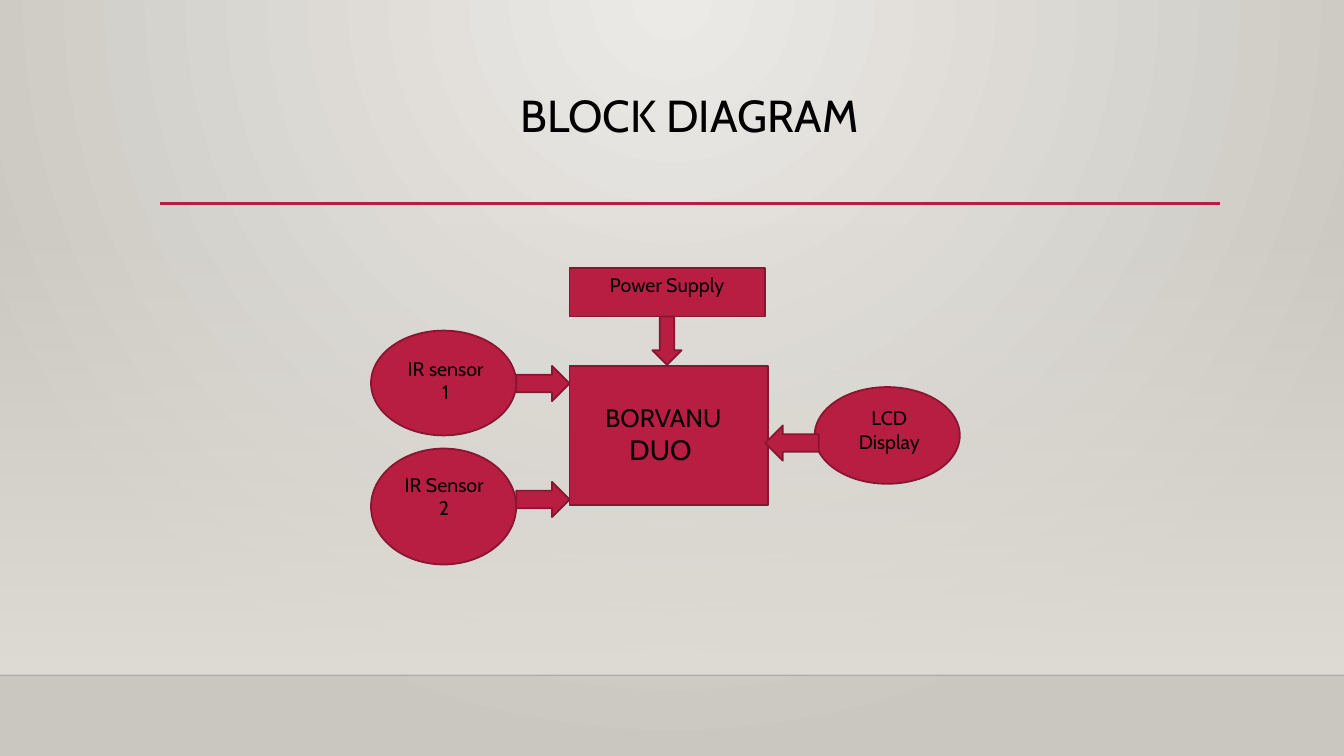
"""Build the block diagram slide of a sensor and display system."""
from lxml import etree
from pptx import Presentation
from pptx.dml.color import RGBColor
from pptx.enum.shapes import MSO_CONNECTOR, MSO_SHAPE
from pptx.enum.text import MSO_ANCHOR, MSO_AUTO_SIZE, PP_ALIGN
from pptx.oxml.ns import qn
from pptx.util import Inches, Pt

RECTANGLE = MSO_SHAPE.RECTANGLE
OVAL = MSO_SHAPE.OVAL
RIGHT_ARROW = MSO_SHAPE.RIGHT_ARROW
LEFT_ARROW = MSO_SHAPE.LEFT_ARROW
DOWN_ARROW = MSO_SHAPE.DOWN_ARROW
STRAIGHT = MSO_CONNECTOR.STRAIGHT
TOP = MSO_ANCHOR.TOP
CENTER = PP_ALIGN.CENTER
GROW = MSO_AUTO_SIZE.SHAPE_TO_FIT_TEXT
FIXED = MSO_AUTO_SIZE.NONE


def color(value):
    return RGBColor.from_string(value)


def set_alpha(color_element, percent):
    etree.SubElement(color_element, qn("a:alpha"), val=str(percent * 1000))


class Diagram:
    FONT = "Cabin"
    INK = "000000"
    CRIMSON = "B71E42"
    OUTLINE = "871631"

    def __init__(self, page):
        self.page = page

    def blend(self, fill, *values):
        fill.gradient()
        for stop, value in zip(fill.gradient_stops, values):
            stop.color.rgb = color(value)

    def backdrop(self, center, edge):
        self.blend(self.page.background.fill, center, edge)
        gradient = self.page.element.find(".//" + qn("a:gradFill"))
        gradient.remove(gradient.find(qn("a:lin")))
        circle = etree.SubElement(gradient, qn("a:path"), path="circle")
        etree.SubElement(circle, qn("a:fillToRect"),
                         l="43000", t="0", r="43000", b="100000")

    def shape(self, kind, *bounds):
        shape = self.page.shapes.add_shape(kind, *map(Inches, bounds))
        shape.shadow.inherit = False
        return shape

    def haze(self, value, *bounds):
        haze = self.shape(RECTANGLE, *bounds)
        self.blend(haze.fill, value, value)
        haze.fill.gradient_angle = 270
        set_alpha(haze.element.find(".//" + qn("a:srgbClr")), 0)
        haze.line.fill.background()

    def block(self, kind, *bounds):
        block = self.shape(kind, *bounds)
        block.fill.solid()
        block.fill.fore_color.rgb = color(self.CRIMSON)
        block.line.color.rgb = color(self.OUTLINE)
        block.line.width = Pt(1.25)

    def rule(self, left, right, top, value, width, alpha=100):
        rule = self.page.shapes.add_connector(
            STRAIGHT, *map(Inches, (left, top, right, top)))
        rule.line.color.rgb = color(value)
        rule.line.width = Pt(width)
        if alpha < 100:
            set_alpha(rule.element.find(".//" + qn("a:srgbClr")), alpha)
        etree.SubElement(rule.element.spPr, qn("a:effectLst"))

    def text(self, bounds, *spans, spacing=1.0, fit=GROW):
        box = self.page.shapes.add_textbox(*map(Inches, bounds))
        frame = box.text_frame
        para = frame.paragraphs[0]
        frame_format = {"word_wrap": True, "auto_size": fit,
                        "vertical_anchor": TOP}
        para_format = {"alignment": CENTER, "line_spacing": spacing}
        for target, settings in ((frame, frame_format), (para, para_format)):
            for name, value in settings.items():
                setattr(target, name, value)
        for words, size in spans:
            span = para.add_run()
            span.text = words
            for name, value in {"name": self.FONT, "size": Pt(size)}.items():
                setattr(span.font, name, value)
            span.font.color.rgb = color(self.INK)


def main():
    deck = Presentation()
    deck.slide_width, deck.slide_height = Inches(13.33), Inches(7.5)
    diagram = Diagram(deck.slides.add_slide(deck.slide_layouts[6]))

    diagram.backdrop("ECEAE7", "CAC7C1")
    diagram.haze("DFDBD5", 0, 2.21, 13.33, 4.49)
    diagram.rule(0, 13.33, 6.7, "000001", 1, alpha=20)
    diagram.rule(1.59, 12.1, 2.02, Diagram.CRIMSON, 2.5)
    diagram.text((1.59, 0.88, 10.5, 1.15), ("BLOCK DIAGRAM", 32),
                 spacing=0.9, fit=FIXED)

    diagram.block(RECTANGLE, 5.65, 3.63, 1.97, 1.38)
    diagram.text((5.65, 3.94, 1.86, 0.74),
                 ("BORVANU ", 18), ("DUO", 20), (" ", 18))

    sensors = (("IR Sensor 2", 4.45, 1.15, 4.78, 1.01),
               ("IR sensor 1", 3.28, 1.04, 3.63, 1.04))
    for label, top, height, arrow_top, label_width in sensors:
        diagram.block(OVAL, 3.68, top, 1.44, height)
        diagram.block(RIGHT_ARROW, 5.12, arrow_top, 0.53, 0.35)
        diagram.text((3.9, arrow_top - 0.14, label_width, 0.57), (label, 14))

    diagram.block(RECTANGLE, 5.65, 2.66, 1.94, 0.48)
    diagram.block(DOWN_ARROW, 6.47, 3.14, 0.29, 0.48)
    diagram.text((5.76, 2.66, 1.71, 0.34), ("Power Supply", 14))

    diagram.block(OVAL, 8.08, 3.84, 1.44, 0.96)
    diagram.block(LEFT_ARROW, 7.59, 4.22, 0.53, 0.35)
    diagram.text((8.26, 3.98, 1.12, 0.57), ("LCD Display", 14))

    deck.save("out.pptx")


if __name__ == "__main__":
    main()
